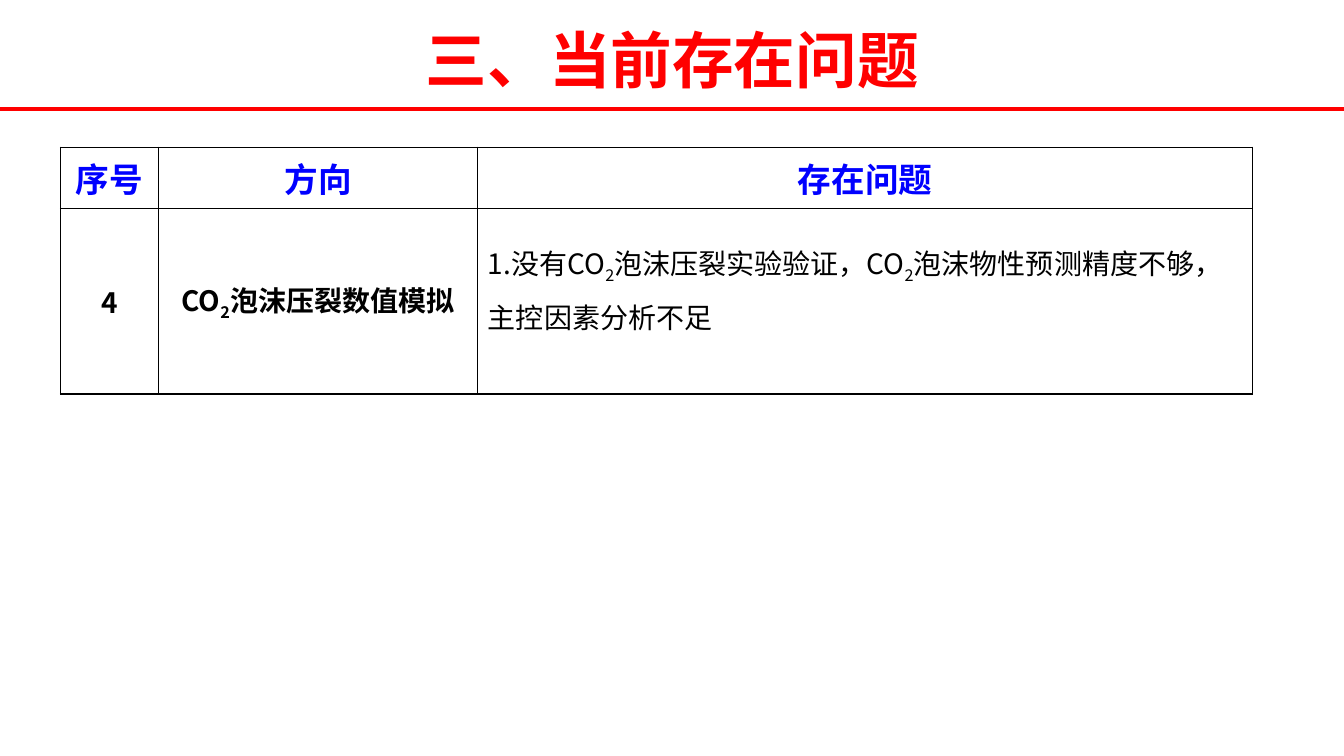
"""Build the slide that lists the current problems by research direction."""
import dataclasses

import lxml.etree
import pptx
import pptx.dml.color
import pptx.enum.shapes
import pptx.enum.text
import pptx.oxml.ns
import pptx.util

TITLE = "三、当前存在问题"
HEADERS = ["序号", "方向", "存在问题"]
FORMULA = ["CO", ("2", "sub")]
NUMBER = ["4"]
DIRECTION = [*FORMULA, "泡沫压裂数值模拟"]
PROBLEMS = [
    "1.没有CO", ("2", "sub"),
    "泡沫压裂实验验证，CO", ("2", "sub"),
    "泡沫物性预测精度不够，主控因素分析不足",
]

SLIDE_WIDTH, SLIDE_HEIGHT = 13.33, 7.5
COLUMN_WIDTHS = [0.97, 3.17, 7.68]
ROW_HEIGHTS = [0.61, 1.84]
TABLE_LEFT, TABLE_TOP = 0.6, 1.46
TITLE_BOX = (2.71, 0.19, 7.92, 0.78)
RULE_TOP = 1.08
PROBLEMS_BOTTOM_MARGIN = 0.4

CENTER = pptx.enum.text.PP_ALIGN.CENTER
LEFT = pptx.enum.text.PP_ALIGN.LEFT
MIDDLE = pptx.enum.text.MSO_ANCHOR.MIDDLE


@dataclasses.dataclass(frozen=True)
class Theme:
    font: str = "Noto Sans CJK SC"
    red: str = "FF0000"
    blue: str = "0000FF"
    black: str = "000000"
    title_size: int = 44
    header_size: int = 24
    body_size: int = 20
    rule_width: int = 3
    border_width: int = 1


THEME = Theme()


def inches(*lengths):
    return [pptx.util.Inches(length) for length in lengths]


def write_text(paragraph, pieces, *, size, color, bold=True, align=CENTER, spacing=None):
    paragraph.alignment = align
    if spacing:
        paragraph.line_spacing = spacing
    for piece in pieces:
        text, subscript = (piece, False) if isinstance(piece, str) else (piece[0], True)
        run = paragraph.add_run()
        run.text = text
        font = run.font
        font.size = pptx.util.Pt(size)
        font.bold = bold
        font.color.rgb = pptx.dml.color.RGBColor.from_string(color)
        font.name = THEME.font
        properties = run._r.get_or_add_rPr()
        east_asian = lxml.etree.SubElement(properties, pptx.oxml.ns.qn("a:ea"))
        east_asian.set("typeface", THEME.font)
        if subscript:
            properties.set("baseline", "-25000")


def add_borders(cell):
    properties = cell._tc.get_or_add_tcPr()
    for position, side in enumerate(["lnL", "lnR", "lnT", "lnB"]):
        border = properties.makeelement(pptx.oxml.ns.qn(f"a:{side}"))
        border.set("w", str(pptx.util.Pt(THEME.border_width)))
        fill = lxml.etree.SubElement(border, pptx.oxml.ns.qn("a:solidFill"))
        color = lxml.etree.SubElement(fill, pptx.oxml.ns.qn("a:srgbClr"))
        color.set("val", THEME.black)
        properties.insert(position, border)


def add_title(slide):
    title = slide.shapes.title
    title.left, title.top, title.width, title.height = inches(*TITLE_BOX)
    frame = title.text_frame
    frame.word_wrap = True
    frame.auto_size = pptx.enum.text.MSO_AUTO_SIZE.NONE
    frame.vertical_anchor = MIDDLE
    write_text(frame.paragraphs[0], [TITLE], size=THEME.title_size, color=THEME.red)


def add_rule(slide):
    rule = slide.shapes.add_connector(
        pptx.enum.shapes.MSO_CONNECTOR.STRAIGHT,
        *inches(0, RULE_TOP, SLIDE_WIDTH, RULE_TOP),
    )
    rule.line.color.rgb = pptx.dml.color.RGBColor.from_string(THEME.red)
    rule.line.width = pptx.util.Pt(THEME.rule_width)
    lxml.etree.SubElement(rule._element.spPr, pptx.oxml.ns.qn("a:effectLst"))


def add_problem_table(slide):
    header_format = dict(size=THEME.header_size, color=THEME.blue)
    body_format = dict(size=THEME.body_size, color=THEME.black)
    problem_format = dict(body_format, bold=False, align=LEFT, spacing=1.25)
    rows = [
        [([header], header_format) for header in HEADERS],
        [(NUMBER, body_format), (DIRECTION, body_format), (PROBLEMS, problem_format)],
    ]
    table = slide.shapes.add_table(
        len(rows), len(HEADERS),
        *inches(TABLE_LEFT, TABLE_TOP, sum(COLUMN_WIDTHS), sum(ROW_HEIGHTS)),
    ).table
    table.first_row = False
    table.horz_banding = False
    for column, width in zip(table.columns, COLUMN_WIDTHS):
        column.width = pptx.util.Inches(width)
    for row, height, contents in zip(table.rows, ROW_HEIGHTS, rows):
        row.height = pptx.util.Inches(height)
        for cell, (pieces, text_format) in zip(row.cells, contents):
            cell.vertical_anchor = MIDDLE
            cell.fill.background()
            add_borders(cell)
            write_text(cell.text_frame.paragraphs[0], pieces, **text_format)
    table.cell(1, 2).margin_bottom = pptx.util.Inches(PROBLEMS_BOTTOM_MARGIN)


def main():
    presentation = pptx.Presentation()
    presentation.slide_width, presentation.slide_height = inches(SLIDE_WIDTH, SLIDE_HEIGHT)
    slide = presentation.slides.add_slide(presentation.slide_layouts.get_by_name("Title Only"))
    add_rule(slide)
    add_title(slide)
    add_problem_table(slide)
    presentation.save("out.pptx")


if __name__ == "__main__":
    main()
